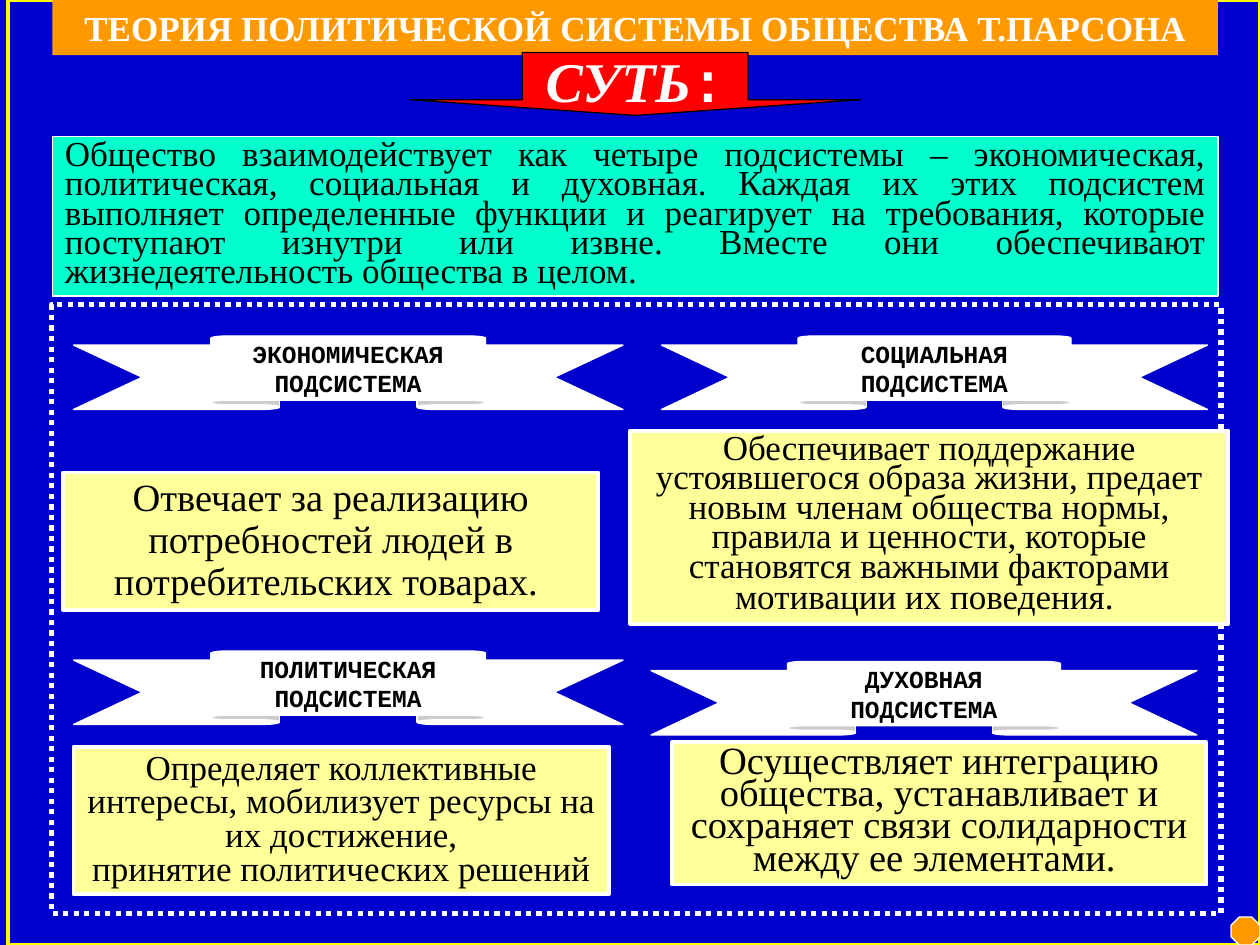
import pptx
import pptx.util
import pptx.dml.color
import pptx.enum.dml
import pptx.enum.shapes
import pptx.enum.text

Pt = pptx.util.Pt
RGBColor = pptx.dml.color.RGBColor
SHAPE = pptx.enum.shapes.MSO_SHAPE
ALIGN = pptx.enum.text.PP_ALIGN
ANCHOR = pptx.enum.text.MSO_ANCHOR
AUTO_SIZE = pptx.enum.text.MSO_AUTO_SIZE

BLUE = RGBColor(0x00, 0x00, 0xCC)
YELLOW = RGBColor(0xFF, 0xFF, 0x00)
ORANGE = RGBColor(0xFF, 0x99, 0x00)
TURQUOISE = RGBColor(0x00, 0xFF, 0xCC)
CREAM = RGBColor(0xFF, 0xFF, 0x99)
RED = RGBColor(0xFF, 0x00, 0x00)
WHITE = RGBColor(0xFF, 0xFF, 0xFF)
BLACK = RGBColor(0x00, 0x00, 0x00)
SERIF, MONO = "Times New Roman", "Courier New"

# Content: each paragraph is a list of (text, size) runs
TITLE = "ТЕОРИЯ ПОЛИТИЧЕСКОЙ СИСТЕМЫ ОБЩЕСТВА Т.ПАРСОНА"
ESSENCE = (
    "Общество взаимодействует как четыре подсистемы – экономическая, политическая, "
    "социальная и духовная. Каждая их этих подсистем выполняет определенные функции "
    "и реагирует на требования, которые поступают изнутри или извне. Вместе они "
    "обеспечивают жизнедеятельность общества в целом."
)
# name, ribbon (left, top, width), box (left, top, width, height), line spacing, paragraphs
SUBSYSTEMS = [
    ("ЭКОНОМИЧЕСКАЯ", (42, 192, 314), (36, 270, 306, 78.5), 0.9,
     [[("Отвечает за реализацию потребностей людей в потребительских товарах. ", 22)]]),
    ("ПОЛИТИЧЕСКАЯ", (42, 372, 314), (42, 427, 306, 84), 0.8,
     [[("Определяет коллективные интересы, мобилизует ресурсы на их достижение,", 20)],
      [("принятие политических решений", 20)]]),
    ("СОЦИАЛЬНАЯ", (378, 192, 312), (360, 246.2, 342, 110.2), 0.7,
     [[("Обеспечивает поддержание устоявшегося образа жизни, предает новым членам "
        "общества нормы, правила и ценности, которые становятся важными факторами "
        "мотивации их поведения.", 20), (" ", 22)]]),
    ("ДУХОВНАЯ", (372, 378, 312), (384, 424.1, 305.3, 81.4), 0.7,
     [[("Осуществляет интеграцию общества, устанавливает и сохраняет связи "
        "солидарности между ее элементами. ", 22)]]),
]
RIBBON_HEIGHT = 42


def add_shape(slide, kind, place, fill=None, line=None, width=0.75, adjustments=()):
    shape = slide.shapes.add_shape(kind, *(Pt(length) for length in place))
    shape.shadow.inherit = False
    for index, value in enumerate(adjustments):
        shape.adjustments[index] = value
    if fill is None:
        shape.fill.background()
    else:
        shape.fill.solid()
        shape.fill.fore_color.rgb = fill
    if line is None:
        shape.line.fill.background()
    else:
        shape.line.color.rgb = line
        shape.line.width = Pt(width)
    return shape


def write(shape, paragraphs, font=SERIF, color=BLACK, bold=False, align=ALIGN.CENTER,
          spacing=None, label=False):
    """Labels are centred vertically and unwrapped; other boxes wrap and grow."""
    frame = shape.text_frame
    frame.word_wrap = not label
    frame.vertical_anchor = ANCHOR.MIDDLE if label else ANCHOR.TOP
    frame.auto_size = AUTO_SIZE.NONE if label else AUTO_SIZE.SHAPE_TO_FIT_TEXT
    for index, runs in enumerate(paragraphs):
        paragraph = frame.add_paragraph() if index else frame.paragraphs[0]
        paragraph.alignment = align
        if spacing:
            paragraph.line_spacing = spacing
        for text, size in runs:
            run = paragraph.add_run()
            run.text = text
            run.font.name = font
            run.font.size = Pt(size)
            run.font.bold = bold
            run.font.color.rgb = color


def main():
    presentation = pptx.Presentation()
    presentation.slide_width, presentation.slide_height = Pt(720), Pt(540)
    slide = presentation.slides.add_slide(presentation.slide_layouts[6])
    slide.background.fill.solid()
    slide.background.fill.fore_color.rgb = BLUE

    # Border, corner octagon and dotted frame
    add_shape(slide, SHAPE.RECTANGLE, (4.5, 0, 715.5, 540), line=YELLOW, width=2.25)
    add_shape(slide, SHAPE.OCTAGON, (703.5, 524, 16.5, 16), ORANGE, WHITE,
              adjustments=[0.293])
    frame = add_shape(slide, SHAPE.RECTANGLE, (29.5, 174.2, 668.2, 347.8),
                      line=WHITE, width=3)
    frame.line.dash_style = pptx.enum.dml.MSO_LINE.ROUND_DOT

    # Title, essence and arrow
    title = add_shape(slide, SHAPE.RECTANGLE, (30, 0, 666, 31.5), ORANGE)
    write(title, [[(TITLE, 20)]], color=WHITE, bold=True)
    essence = add_shape(slide, SHAPE.RECTANGLE, (30, 78, 666, 91.4), TURQUOISE, WHITE, 1)
    write(essence, [[(ESSENCE, 20)]], align=ALIGN.JUSTIFY, spacing=0.7)
    arrow = add_shape(slide, SHAPE.DOWN_ARROW, (234, 30, 258, 36), RED, BLACK,
                      adjustments=[0.5, 0.25])
    write(arrow, [[("СУТЬ", 32), (":", 32)]], color=WHITE, bold=True, label=True)
    word, colon = arrow.text_frame.paragraphs[0].runs
    word.font.italic = True
    colon.font.name = MONO

    # Subsystems: description box and ribbon heading
    for name, ribbon_place, box_place, spacing, paragraphs in SUBSYSTEMS:
        box = add_shape(slide, SHAPE.RECTANGLE, box_place, CREAM, WHITE, 2.25)
        write(box, paragraphs, spacing=spacing)
        ribbon = add_shape(slide, SHAPE.UP_RIBBON, (*ribbon_place, RIBBON_HEIGHT),
                           WHITE, WHITE, adjustments=[0.125, 0.5])
        write(ribbon, [[(name, 14)], [("ПОДСИСТЕМА", 14)]], font=MONO, bold=True,
              label=True)

    presentation.save("out.pptx")


if __name__ == "__main__":
    main()
